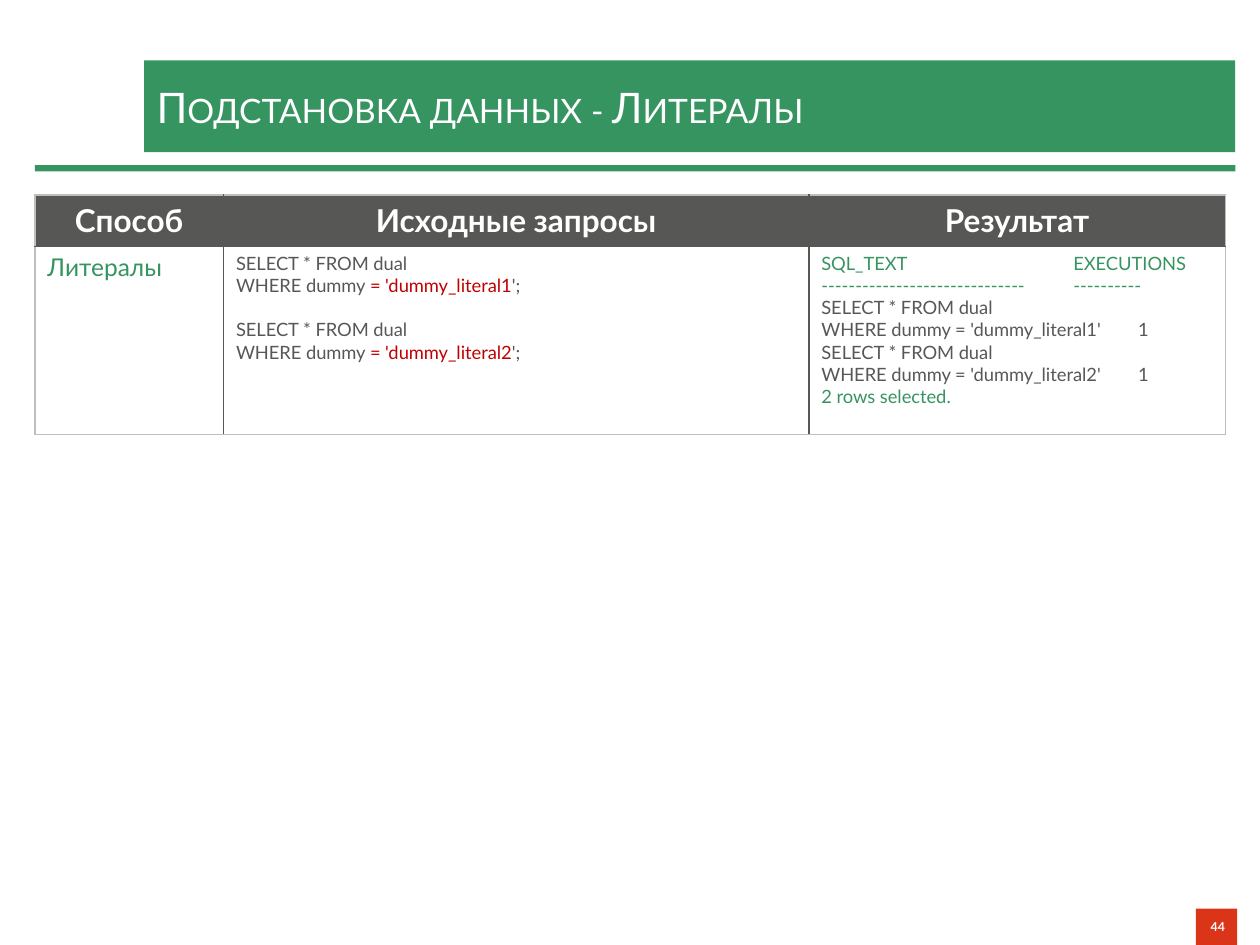
from typing import NamedTuple

from lxml import etree
from pptx import Presentation
from pptx.dml.color import RGBColor
from pptx.enum import shapes, text
from pptx.oxml.ns import qn
from pptx.util import Pt

FONT = "Lato"
GREEN, GRAY, LIGHT, RED, BADGE, WHITE = (
    "369461", "575756", "BFBFBF", "C00000", "DB3519", "FFFFFF")
CODE_SIZE = 10.5
LINE_HEIGHT = 12.6
TABS = (144, 181)  # executions heading, executions value


class Run(NamedTuple):
    text: str
    color: str = GRAY


class Line(NamedTuple):
    runs: list[Run]
    before: float = 0
    tab: float | None = None


def rgb(color: str) -> RGBColor:
    return RGBColor.from_string(color)


def style_run(r, size: float, color: str, bold: bool = False) -> None:
    r.font.name, r.font.size, r.font.bold = FONT, Pt(size), bold
    r.font.color.rgb = rgb(color)


def paint(sp, color: str) -> None:
    sp.fill.solid()
    sp.fill.fore_color.rgb = rgb(color)
    sp.line.fill.background()


def add_box(s, left: float, top: float, width: float, height: float, color: str):
    sp = s.shapes.add_shape(shapes.MSO_SHAPE.RECTANGLE,
                            Pt(left), Pt(top), Pt(width), Pt(height))
    sp.shadow.inherit = False
    paint(sp, color)
    return sp


def style_cell(cell, fill: str, borders: dict[str, str]) -> None:
    """Border the cell per side (L, R, T, B), then fill it."""
    tc_pr = cell._tc.get_or_add_tcPr()
    for side, color in borders.items():
        ln = etree.SubElement(tc_pr, qn(f"a:ln{side}"), w=str(Pt(1)))
        solid = etree.SubElement(ln, qn("a:solidFill"))
        etree.SubElement(solid, qn("a:srgbClr"), val=color)
    cell.fill.solid()
    cell.fill.fore_color.rgb = rgb(fill)


def write_lines(tf, lines: list[Line], size: float) -> None:
    for i, line in enumerate(lines):
        p = tf.paragraphs[0] if i == 0 else tf.add_paragraph()
        if line.tab:
            tabs = etree.SubElement(p._p.get_or_add_pPr(), qn("a:tabLst"))
            etree.SubElement(tabs, qn("a:tab"), pos=str(Pt(line.tab)), algn="l")
        if line.before:
            p.space_before = Pt(line.before)
        for run in line.runs:
            r = p.add_run()
            r.text = run.text
            style_run(r, size, run.color)


def query_lines(number: int, before: float) -> list[Line]:
    return [
        Line([Run("SELECT * FROM dual")], before),
        Line([Run("WHERE dummy "), Run(f"= 'dummy_literal{number}", RED), Run("';")]),
    ]


def result_lines(number: int) -> list[Line]:
    return [
        Line([Run("SELECT * FROM dual")]),
        Line([Run(f"WHERE dummy = 'dummy_literal{number}'\t1")], tab=TABS[1]),
    ]


def add_title(s, title: str) -> None:
    sp = s.shapes.title
    sp.left, sp.top, sp.width, sp.height = Pt(82.3), Pt(34.5), Pt(623.5), Pt(52.5)
    paint(sp, GREEN)
    tf = sp.text_frame
    tf.text = title
    tf.auto_size = text.MSO_AUTO_SIZE.NONE
    tf.vertical_anchor = text.MSO_ANCHOR.MIDDLE
    p = tf.paragraphs[0]
    p.alignment = text.PP_ALIGN.LEFT
    style_run(p.runs[0], 24, WHITE)
    p.runs[0].font._element.set("cap", "small")


def add_query_table(s) -> None:
    headers = ["Способ", "Исходные запросы", "Результат"]
    widths, heights = [107.8, 334.5, 238.1], [29.3, 107.5]
    tbl = s.shapes.add_table(len(heights), len(widths), Pt(19.9), Pt(111.5),
                             Pt(sum(widths)), Pt(sum(heights))).table
    for column, width in zip(tbl.columns, widths):
        column.width = Pt(width)
    for row, height in zip(tbl.rows, heights):
        row.height = Pt(height)

    last = len(widths) - 1
    for i, header in enumerate(headers):
        left = LIGHT if i == 0 else GRAY
        right = LIGHT if i == last else GRAY
        head, body = tbl.cell(0, i), tbl.cell(1, i)
        style_cell(head, GRAY, {"L": left, "R": right, "T": LIGHT, "B": GRAY})
        style_cell(body, WHITE, {"L": left, "R": right, "T": GRAY, "B": LIGHT})
        head.text_frame.text = header
        p = head.text_frame.paragraphs[0]
        p.alignment = text.PP_ALIGN.CENTER
        style_run(p.runs[0], 18, WHITE, bold=True)

    write_lines(tbl.cell(1, 0).text_frame, [Line([Run("Литералы", GREEN)])], 14)
    write_lines(tbl.cell(1, 1).text_frame,
                query_lines(1, 0) + query_lines(2, LINE_HEIGHT), CODE_SIZE)
    write_lines(tbl.cell(1, 2).text_frame, [
        Line([Run("SQL_TEXT\tEXECUTIONS", GREEN)], tab=TABS[0]),
        Line([Run("-" * 30 + "\t" + "-" * 10, GREEN)], tab=TABS[0]),
        *result_lines(1),
        *result_lines(2),
        Line([Run("2 rows selected.", GREEN)]),
    ], CODE_SIZE)


def add_page_number(s, number: str) -> None:
    tf = add_box(s, 683.4, 519.2, 23.6, 20.8, BADGE).text_frame
    tf.text = number
    tf.margin_left = 0
    tf.vertical_anchor = text.MSO_ANCHOR.MIDDLE
    p = tf.paragraphs[0]
    p.alignment = text.PP_ALIGN.RIGHT
    style_run(p.runs[0], 7, WHITE, bold=True)


def main() -> None:
    prs = Presentation()
    prs.slide_width, prs.slide_height = Pt(720), Pt(540)
    s = prs.slides.add_slide(prs.slide_layouts[5])
    add_box(s, 19.9, 94.3, 686, 3.6, GREEN)
    add_title(s, "Подстановка данных - Литералы")
    add_query_table(s)
    add_page_number(s, "44")
    prs.save("out.pptx")


if __name__ == "__main__":
    main()
